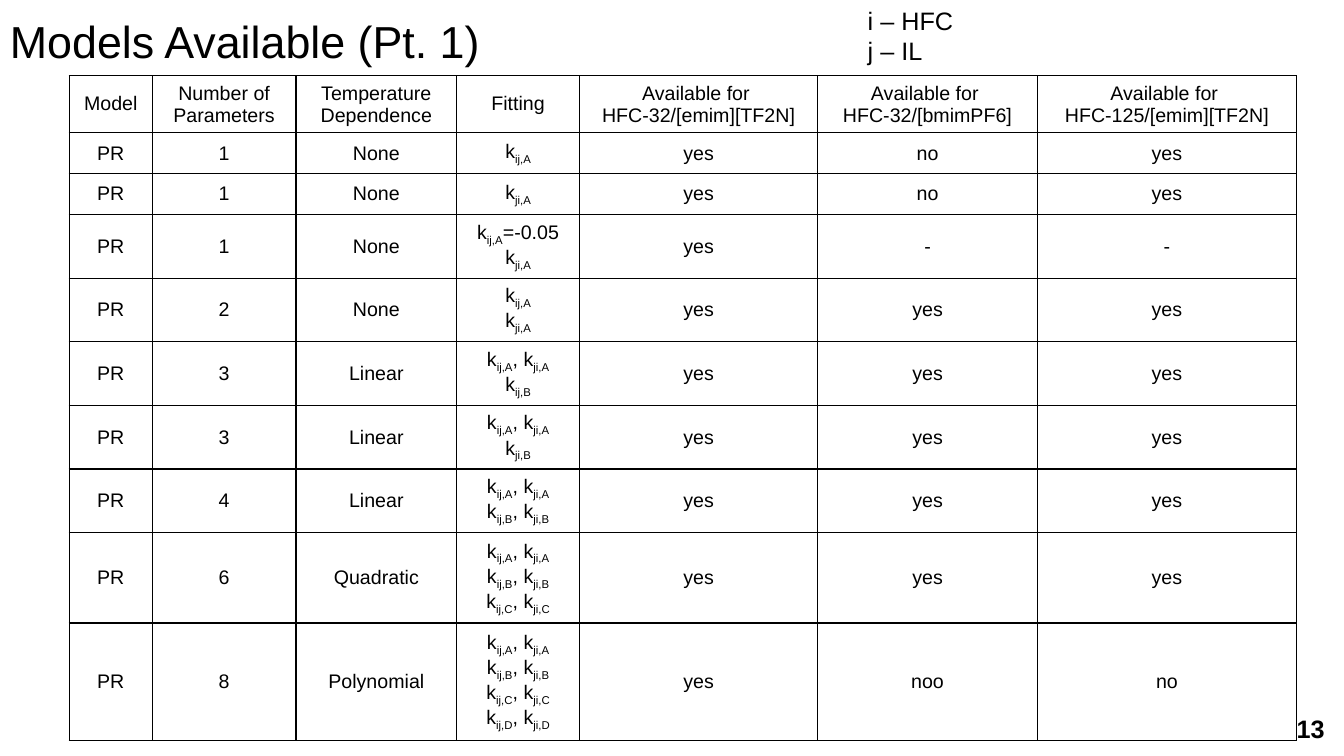
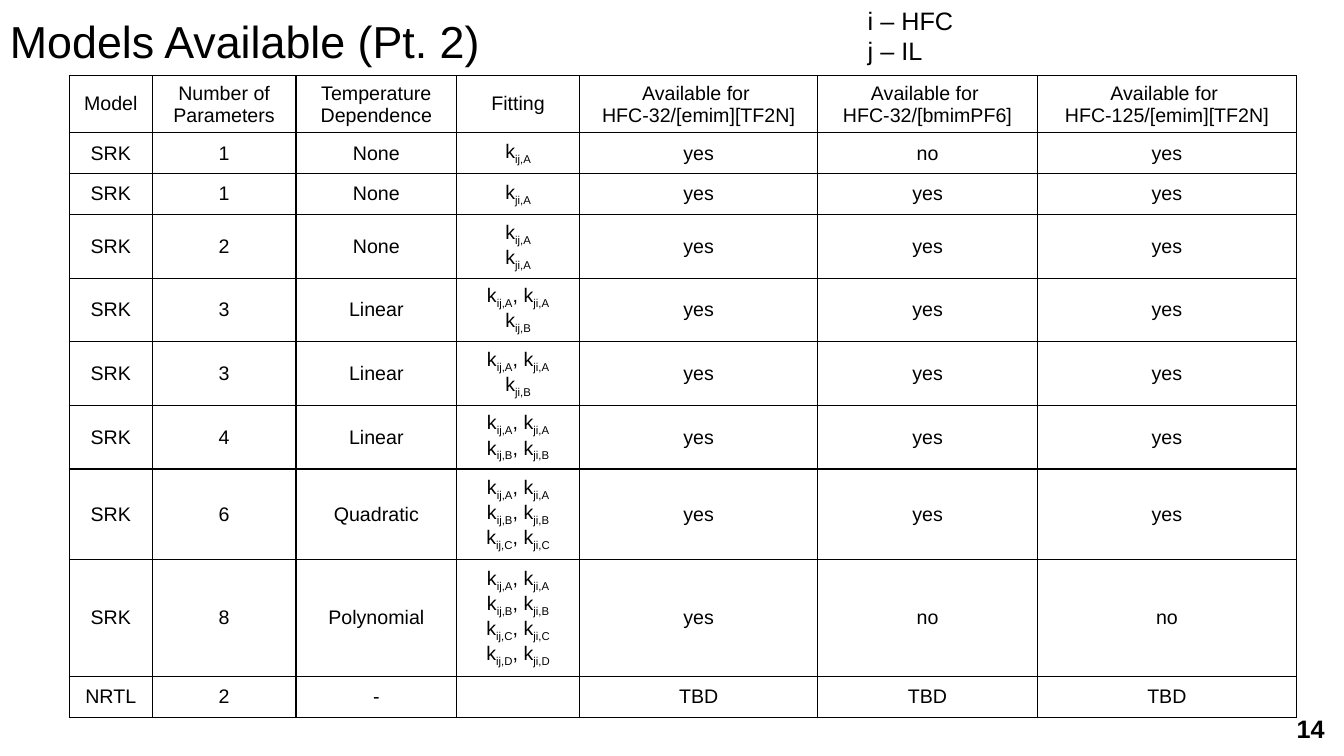
from lxml.etree import SubElement
from pptx import Presentation
from pptx.dml.color import RGBColor
from pptx.enum.text import MSO_ANCHOR, PP_ALIGN
from pptx.oxml.ns import qn
from pptx.util import Pt

PX = 9525  # 96 px to the inch
FONT = "Arial"
INK = "000000"
COLUMN_WIDTHS = [79, 137, 153, 117, 227, 209, 247]
TABLE_LEFT, TABLE_TOP = 66, 72
HEADER_HEIGHT, MIN_ROW_HEIGHT, LINE_HEIGHT, ROW_PADDING = 52, 39, 24, 9


def k(order, letter):
    """Coefficient name; text between bars is set as a subscript."""
    return f"k|{order},{letter}|"


def pairs(letters):
    return [f"{k('ij', letter)}, {k('ji', letter)}" for letter in letters]


IJ, JI = [k("ij", "A")], [k("ji", "A")]
LINEAR_IJ = pairs("A") + [k("ij", "B")]
LINEAR_JI = pairs("A") + [k("ji", "B")]

KEY = ["i – HFC", "j – IL"]
HEADER = [
    "Model", "Number of Parameters", "Temperature Dependence", "Fitting",
    ["Available for ", "HFC-32/[emim][TF2N]"],
    ["Available for ", "HFC-32/[bmimPF6]"],
    ["Available for ", "HFC-125/[emim][TF2N]"],
]
SLIDES = [
    ("Models Available (Pt. 1)", "13", [
        ("PR", "1", "None", IJ, "yes", "no", "yes"),
        ("PR", "1", "None", JI, "yes", "no", "yes"),
        ("PR", "1", "None", [IJ[0] + "=-0.05"] + JI, "yes", "-", "-"),
        ("PR", "2", "None", IJ + JI, "yes", "yes", "yes"),
        ("PR", "3", "Linear", LINEAR_IJ, "yes", "yes", "yes"),
        ("PR", "3", "Linear", LINEAR_JI, "yes", "yes", "yes"),
        ("PR", "4", "Linear", pairs("AB"), "yes", "yes", "yes"),
        ("PR", "6", "Quadratic", pairs("ABC"), "yes", "yes", "yes"),
        ("PR", "8", "Polynomial", pairs("ABCD"), "yes", "noo", "no"),
    ]),
    ("Models Available (Pt. 2)", "14", [
        ("SRK", "1", "None", IJ, "yes", "no", "yes"),
        ("SRK", "1", "None", JI, "yes", "yes", "yes"),
        ("SRK", "2", "None", IJ + JI, "yes", "yes", "yes"),
        ("SRK", "3", "Linear", LINEAR_IJ, "yes", "yes", "yes"),
        ("SRK", "3", "Linear", LINEAR_JI, "yes", "yes", "yes"),
        ("SRK", "4", "Linear", pairs("AB"), "yes", "yes", "yes"),
        ("SRK", "6", "Quadratic", pairs("ABC"), "yes", "yes", "yes"),
        ("SRK", "8", "Polynomial", pairs("ABCD"), "yes", "no", "no"),
        ("NRTL", "2", "-", [], "TBD", "TBD", "TBD"),
    ]),
]


def color(value):
    return RGBColor.from_string(value)


def write(text_frame, lines, size, align=PP_ALIGN.LEFT, bold=False, spacing=1.0):
    """Write one paragraph a line, lowering the text between bars."""
    for index, line in enumerate(lines):
        paragraph = text_frame.add_paragraph() if index else text_frame.paragraphs[0]
        paragraph.alignment = align
        paragraph.line_spacing = spacing
        for position, piece in enumerate(line.split("|")):
            if not piece:
                continue
            run = paragraph.add_run()
            run.text = piece
            run.font.name = FONT
            run.font.size = Pt(size)
            run.font.bold = bold
            run.font.color.rgb = color(INK)
            if position % 2:
                run.font._element.set("baseline", "-25000")


def add_text(slide, box, lines, size, anchor=MSO_ANCHOR.MIDDLE, **style):
    shape = slide.shapes.add_textbox(*(length * PX for length in box))
    shape.text_frame.word_wrap = True
    shape.text_frame.vertical_anchor = anchor
    write(shape.text_frame, lines, size, **style)


def add_borders(cell):
    properties = cell._tc.get_or_add_tcPr()
    for side in ("a:lnL", "a:lnR", "a:lnT", "a:lnB"):
        line = SubElement(properties, qn(side), w=str(Pt(1)))
        fill = SubElement(line, qn("a:solidFill"))
        SubElement(fill, qn("a:srgbClr"), val=INK)


def add_models_table(slide, models):
    rows = [HEADER] + models
    heights = [HEADER_HEIGHT] + [
        max(MIN_ROW_HEIGHT, ROW_PADDING + LINE_HEIGHT * len(model[3])) for model in models
    ]
    table = slide.shapes.add_table(
        len(rows), len(COLUMN_WIDTHS), TABLE_LEFT * PX, TABLE_TOP * PX,
        sum(COLUMN_WIDTHS) * PX, sum(heights) * PX,
    ).table
    table.first_row = table.horz_banding = False
    for column, width in zip(table.columns, COLUMN_WIDTHS):
        column.width = width * PX
    for row, height, contents in zip(table.rows, heights, rows):
        row.height = height * PX
        for cell, content in zip(row.cells, contents):
            lines = [content] if isinstance(content, str) else content
            add_borders(cell)
            cell.fill.background()
            cell.vertical_anchor = MSO_ANCHOR.MIDDLE
            write(cell.text_frame, lines, 14, PP_ALIGN.CENTER)


def main():
    presentation = Presentation()
    presentation.slide_width, presentation.slide_height = 1280 * PX, 720 * PX
    for title, number, models in SLIDES:
        slide = presentation.slides.add_slide(presentation.slide_layouts[6])
        add_text(slide, (0, 0, 1280, 83), [title], 32, spacing=0.9)
        add_text(slide, (983, 675, 288, 38), [number], 18, align=PP_ALIGN.RIGHT, bold=True)
        add_models_table(slide, models)
        add_text(slide, (817, 0, 272, 68), KEY, 18, anchor=MSO_ANCHOR.TOP)
    presentation.save("out.pptx")


if __name__ == "__main__":
    main()
